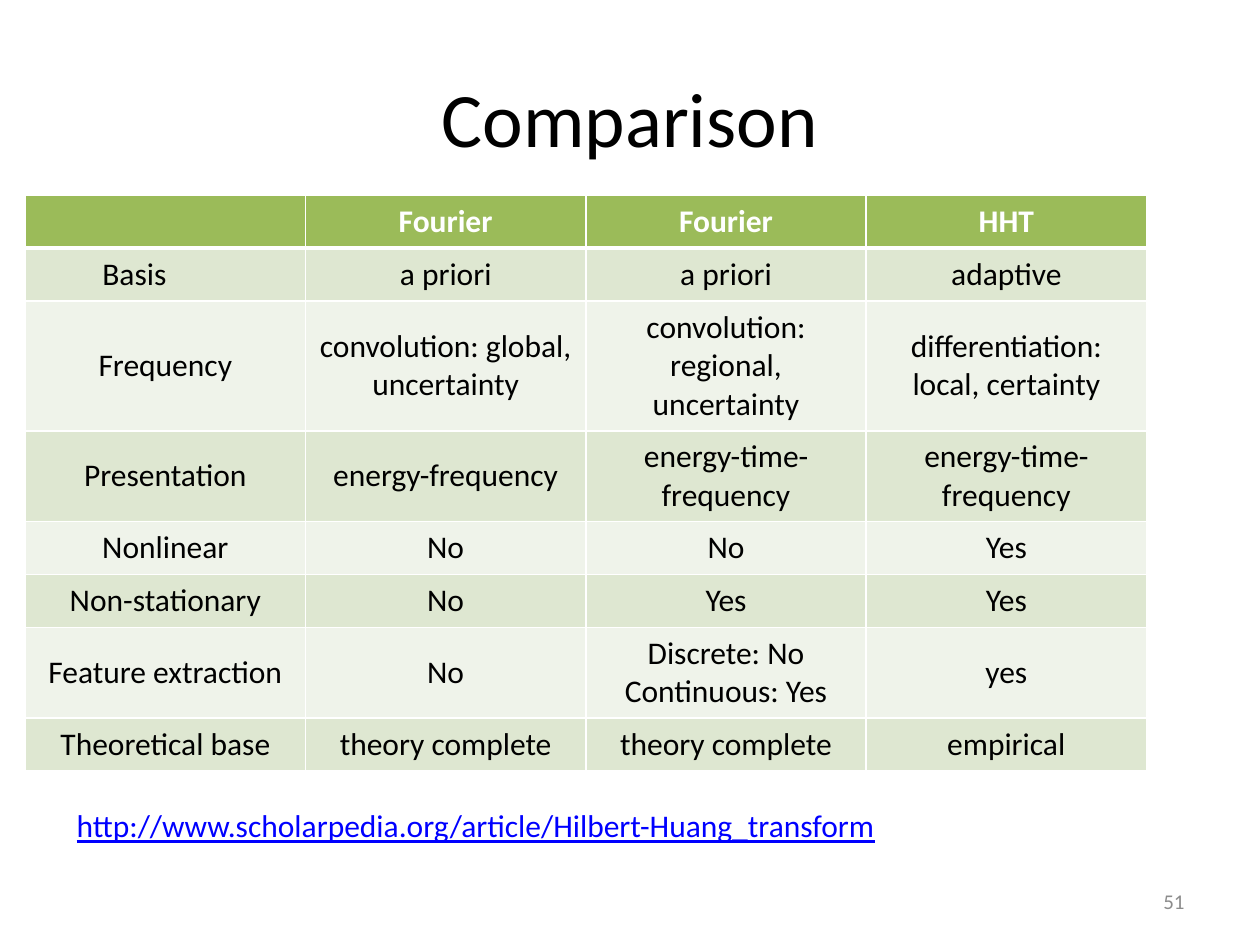
from lxml.etree import SubElement
from pptx import Presentation
from pptx.dml.color import RGBColor
from pptx.enum.text import MSO_ANCHOR, PP_ALIGN
from pptx.oxml.ns import qn
from pptx.util import Inches, Pt

TITLE = "Comparison"
LINK = "http://www.scholarpedia.org/article/Hilbert-Huang_transform"
PAGE_NUMBER = "51"
ROWS = [
    ("", "Fourier", "Fourier", "HHT"),
    ("Basis\t", "a priori", "a priori", "adaptive"),
    ("Frequency", "convolution: global, uncertainty",
     "convolution: regional, uncertainty", "differentiation: local, certainty"),
    ("Presentation", "energy-frequency", "energy-time-frequency", "energy-time-frequency"),
    ("Nonlinear", "No", "No", "Yes"),
    ("Non-stationary", "No", "Yes", "Yes"),
    ("Feature extraction", "No", "Discrete: No\nContinuous: Yes", "yes"),
    ("Theoretical base", "theory complete", "theory complete", "empirical"),
]
LINES_PER_ROW = [1, 1, 3, 2, 1, 1, 2, 1]
ROW_HEIGHTS = {1: 0.42, 2: 0.72, 3: 1.03}

FONT = "Calibri"
BLACK = RGBColor(0, 0, 0)
WHITE = RGBColor(255, 255, 255)
GREY = RGBColor(0x8C, 0x8C, 0x8C)
BLUE = RGBColor(0, 0, 255)
HEADER_GREEN = RGBColor(0x9B, 0xBB, 0x59)
BANDS = [RGBColor(0xEF, 0xF3, 0xEA), RGBColor(0xDE, 0xE7, 0xD1)]


def write(frame, text, size, color, align, bold=False, underline=False):
    for index, line in enumerate(text.split("\n")):
        para = frame.add_paragraph() if index else frame.paragraphs[0]
        para.alignment = align
        para.font.size = Pt(size)
        if line:
            span = para.add_run()
            span.text = line
            font = span.font
            font.name, font.size, font.bold = FONT, Pt(size), bold
            font.underline = underline
            font.color.rgb = color


def add_text(page, place, text, size, color, align,
             anchor=MSO_ANCHOR.MIDDLE, underline=False):
    frame = page.shapes.add_textbox(*map(Inches, place)).text_frame
    frame.word_wrap = True
    frame.vertical_anchor = anchor
    write(frame, text, size, color, align, underline=underline)


def add_borders(cell, widths):
    properties = cell._tc.get_or_add_tcPr()
    for side, width in zip("LRTB", widths):
        line = SubElement(properties, qn(f"a:ln{side}"), w=str(Pt(width)))
        fill = SubElement(line, qn("a:solidFill"))
        SubElement(fill, qn("a:srgbClr"), val=str(WHITE))


def add_comparison(page, left, top, width):
    heights = [ROW_HEIGHTS[lines] for lines in LINES_PER_ROW]
    columns = len(ROWS[0])
    table = page.shapes.add_table(
        len(ROWS), columns, *map(Inches, (left, top, width, sum(heights)))).table
    for column in table.columns:
        column.width = Inches(width / columns)
    for r, (texts, height) in enumerate(zip(ROWS, heights)):
        table.rows[r].height = Inches(height)
        header = r == 0
        for c, text in enumerate(texts):
            cell = table.cell(r, c)
            add_borders(cell, (1, 1, 3 if r == 1 else 1, 3 if header else 1))
            cell.fill.solid()
            cell.fill.fore_color.rgb = HEADER_GREEN if header else BANDS[r % 2]
            cell.vertical_anchor = MSO_ANCHOR.MIDDLE
            write(cell.text_frame, text, 18, WHITE if header else BLACK,
                  PP_ALIGN.CENTER, bold=header)


def main():
    deck = Presentation()
    deck.slide_width, deck.slide_height = Inches(10), Inches(7.5)
    page = deck.slides.add_slide(deck.slide_layouts[6])
    add_text(page, (0.5, 0.3, 9, 1.25), TITLE, 44, BLACK, PP_ALIGN.CENTER)
    add_text(page, (7.17, 6.95, 2.33, 0.4), PAGE_NUMBER, 12, GREY, PP_ALIGN.RIGHT)
    add_comparison(page, 0.2, 1.55, 8.9)
    add_text(page, (0.51, 6.35, 9.29, 0.71), LINK, 18, BLUE, PP_ALIGN.LEFT,
             MSO_ANCHOR.TOP, underline=True)
    deck.save("out.pptx")


if __name__ == "__main__":
    main()
